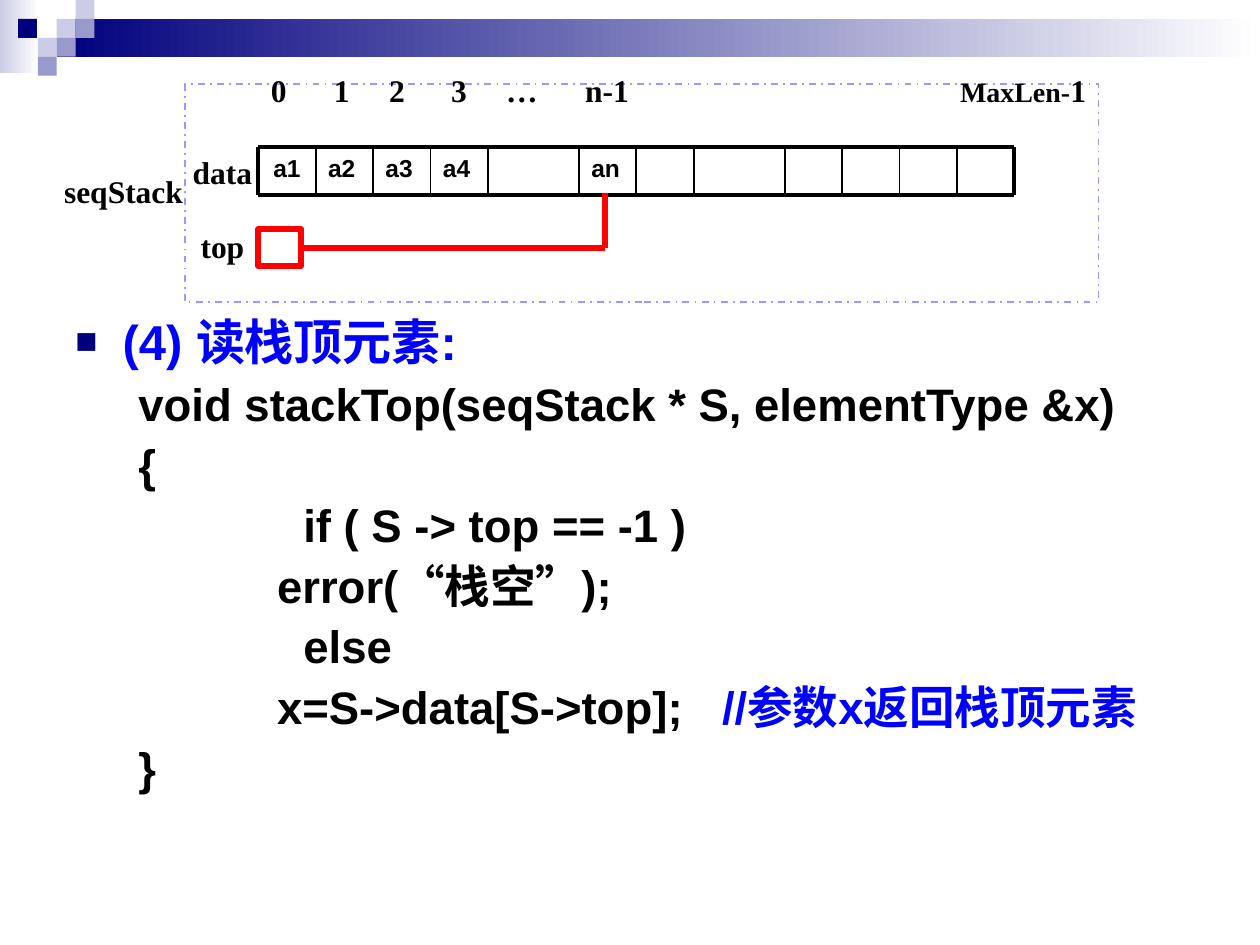
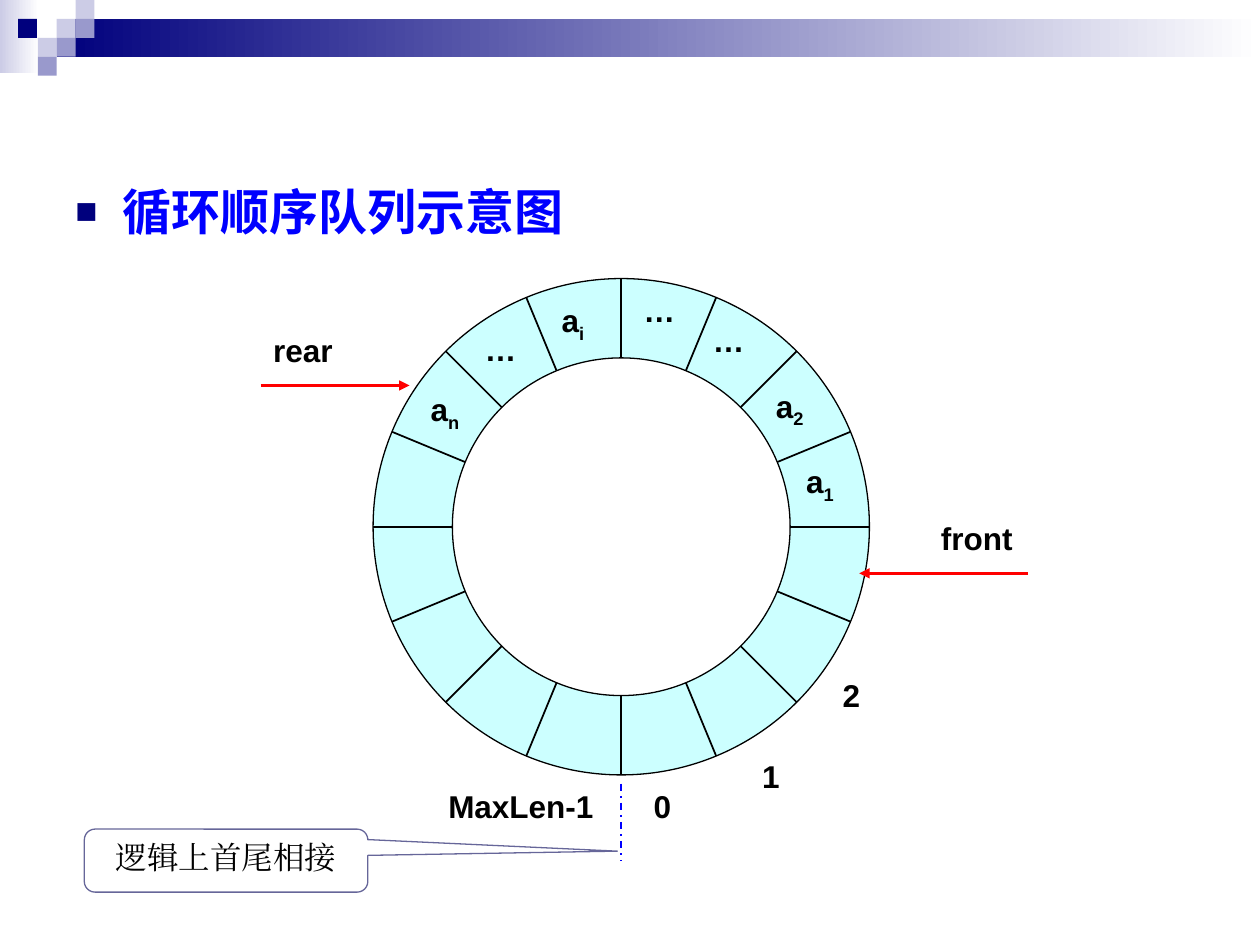
"""Build two slides on a sequential stack and a circular queue."""
from dataclasses import dataclass
from itertools import accumulate
from math import cos, pi, sin

from lxml.etree import SubElement
from pptx import Presentation
from pptx.dml.color import RGBColor
from pptx.enum.dml import MSO_LINE
from pptx.enum.shapes import MSO_CONNECTOR, MSO_SHAPE
from pptx.enum.text import MSO_ANCHOR, PP_ALIGN
from pptx.oxml.ns import qn
from pptx.util import Pt

NAVY = RGBColor(0x00, 0x00, 0x7D)
PALE = RGBColor(0xCC, 0xCC, 0xE6)
LILAC = RGBColor(0x99, 0x99, 0xCC)
WHITE = RGBColor(0xFF, 0xFF, 0xFF)
BLACK = RGBColor(0x00, 0x00, 0x00)
BLUE = RGBColor(0x00, 0x00, 0xFF)
RED = RGBColor(0xFF, 0x00, 0x00)
FRAME = RGBColor(0x99, 0x99, 0xFF)
AQUA = RGBColor(0xCC, 0xFF, 0xFF)
SLATE = RGBColor(0x66, 0x66, 0x99)

SANS = "Arial"
SERIF = "Times New Roman"
HAN = "Noto Sans CJK SC"
UNIT = 10.8


@dataclass
class Box:
    """A rectangle in points."""
    left: float
    top: float
    width: float
    height: float = 28.8


@dataclass
class Tile:
    """A filled block of the header, with an optional end colour."""
    box: Box
    color: RGBColor
    fade: RGBColor | None = None


@dataclass
class Run:
    """A piece of text with what differs from its box."""
    text: str
    color: RGBColor | None = None
    font: str | None = None
    size: float | None = None
    sub: bool = False


@dataclass
class Label:
    """A text at a place."""
    text: str
    left: float
    top: float
    width: float = 33.8
    sub: str = ""


@dataclass
class Line:
    """One line of code and its left margin."""
    runs: list
    left: float = 36


TILES = [
    Tile(Box(0, 0, 22.3, 41.8), PALE, WHITE),
    Tile(Box(3 * UNIT, UNIT, 687.6, 21.6), NAVY, WHITE),
    Tile(Box(10.3, UNIT, UNIT, UNIT), NAVY),
    *[Tile(Box(col * UNIT, row * UNIT, UNIT, UNIT), color)
      for col, row, color in [(3, 1, PALE), (4, 0, PALE), (4, 1, LILAC),
                              (2, 2, PALE), (3, 2, LILAC), (2, 3, LILAC)]],
]

CODE = [
    Line([Run("void stackTop(seqStack * S, elementType &x)")]),
    Line([Run("{")]),
    Line([Run("if ( S -> top == -1 )")], 130.3),
    Line([Run("           error("), Run("“", font=HAN), Run("栈空"),
          Run("”", font=HAN), Run(");")]),
    Line([Run("else")], 130.3),
    Line([Run("           x=S->data[S->top];   "),
          Run("//参数x返回栈顶元素", BLUE)]),
    Line([Run("}")]),
]

MARKS = [("0", 159.4), ("1", 195.4), ("2", 226.9), ("3", 262.3),
         ("…", 298.3), ("n-1", 346.9)]
NAMES = [Label("data", 100.1, 84.2, 54), Label("top", 100.1, 126, 54),
         Label("seqStack", 23.8, 95, 93.6)]
CELLS = {0: "a1", 1: "a2", 2: "a3", 3: "a4", 5: "an"}

RING = [
    Label("a", 453.6, 260.6, sub="1"), Label("a", 436.3, 217.4, sub="2"),
    Label("a", 313.9, 168.5, sub="i"), Label("a", 239, 219.6, sub="n"),
    Label("…", 360.7, 162.7), Label("…", 270, 185), Label("…", 400.3, 180),
    Label("front", 530.6, 293, 57), Label("rear", 149, 185.8, 57),
    Label("0", 366.5, 446.4, 28), Label("1", 428.4, 429.1, 28),
    Label("2", 474.5, 383, 28), Label("MaxLen-1", 241.2, 446.4, 113),
]


def fill(para, runs: list, size: float, font: str, color: RGBColor,
         bold: bool) -> None:
    """Add runs to a paragraph."""
    for part in runs:
        run = para.add_run()
        run.text = part.text
        face = part.font or font
        run.font.name = face
        run.font.size = Pt(part.size or size)
        run.font.bold = bold
        run.font.color.rgb = part.color or color
        prop = run._r.get_or_add_rPr()
        SubElement(prop, qn("a:ea")).set("typeface", face)
        if part.sub:
            prop.set("baseline", "-25000")


def text(slide, words: str | list, box: Box, size: float = 18,
         font: str = SANS, color: RGBColor = BLACK, bold: bool = True,
         align: PP_ALIGN = PP_ALIGN.LEFT):
    """Add a text box and return its frame."""
    shape = slide.shapes.add_textbox(Pt(box.left), Pt(box.top),
                                     Pt(box.width), Pt(box.height))
    frame = shape.text_frame
    frame.word_wrap = True
    para = frame.paragraphs[0]
    para.alignment = align
    runs = [Run(words)] if isinstance(words, str) else words
    fill(para, runs, size, font, color, bold)
    return frame


def shape(slide, kind: MSO_SHAPE, box: Box, color: RGBColor | None = None,
          edge: RGBColor | None = None, width: float = 1):
    """Add a preset shape."""
    item = slide.shapes.add_shape(kind, Pt(box.left), Pt(box.top),
                                  Pt(box.width), Pt(box.height))
    item.shadow.inherit = False
    if color is None:
        item.fill.background()
    else:
        item.fill.solid()
        item.fill.fore_color.rgb = color
    if edge is None:
        item.line.fill.background()
    else:
        item.line.color.rgb = edge
        item.line.width = Pt(width)
    return item


def line(slide, start: tuple, end: tuple, color: RGBColor = BLACK,
         width: float = 1, arrow: bool = False):
    """Add a straight line, with an arrowhead at its end if asked."""
    item = slide.shapes.add_connector(MSO_CONNECTOR.STRAIGHT,
                                      *[Pt(v) for v in (*start, *end)])
    item.line.color.rgb = color
    item.line.width = Pt(width)
    if arrow:
        tail = SubElement(item.line._get_or_add_ln(), qn("a:tailEnd"))
        tail.set("type", "triangle")
    SubElement(item._element.spPr, qn("a:effectLst"))
    return item


def inset(para, left: float, hang: float) -> None:
    """Set the margin and first-line indent of a paragraph."""
    prop = para._p.get_or_add_pPr()
    prop.set("marL", str(Pt(left)))
    prop.set("indent", str(Pt(hang)))


def head(slide, words: str, top: float):
    """Add the bulleted blue heading and return its frame."""
    frame = text(slide, words, Box(36, top, 648, 510 - top), 28, color=BLUE)
    para = frame.paragraphs[0]
    prop = para._p.get_or_add_pPr()
    tint = SubElement(prop, qn("a:buClr"))
    SubElement(tint, qn("a:srgbClr")).set("val", str(NAVY))
    SubElement(prop, qn("a:buSzPct")).set("val", "75000")
    SubElement(prop, qn("a:buFont")).set("typeface", SANS)
    SubElement(prop, qn("a:buChar")).set("char", "■")
    inset(para, 27, -27)
    para.line_spacing = Pt(29)
    return frame


def page(deck):
    """Add a blank slide with the header band."""
    slide = deck.slides.add_slide(deck.slide_layouts[6])
    for tile in TILES:
        item = shape(slide, MSO_SHAPE.RECTANGLE, tile.box, tile.color)
        if tile.fade is not None:
            item.fill.gradient()
            item.fill.gradient_angle = 0
            stops = item.fill.gradient_stops
            stops[0].color.rgb = tile.color
            stops[1].color.rgb = tile.fade
    return slide


def stack(deck) -> None:
    """Draw the stack and the code that reads its top."""
    slide = page(deck)
    frame = head(slide, "(4) 读栈顶元素:", 179)
    for row in CODE:
        para = frame.add_paragraph()
        inset(para, row.left, 0)
        para.space_before = Pt(7.6)
        para.line_spacing = Pt(27)
        fill(para, row.runs, 26, SANS, BLACK, True)

    frame = shape(slide, MSO_SHAPE.RECTANGLE, Box(105.8, 48.2, 522, 124.6),
                  WHITE, FRAME)
    frame.line.dash_style = MSO_LINE.DASH_DOT

    wide = [52 if i in (4, 7) else 32.8 for i in range(12)]
    edges = list(accumulate(wide, initial=147.6))
    high, low = 84.2, 111.6
    for i, word in CELLS.items():
        text(slide, word, Box(edges[i], high, 32.8), 14,
             align=PP_ALIGN.LEFT if i else PP_ALIGN.CENTER)
    for y in (high, low):
        line(slide, (edges[0], y), (edges[-1], y), width=2.25)
    for x in edges:
        line(slide, (x, high), (x, low),
             width=2.25 if x in (edges[0], edges[-1]) else 1)

    for word, mid in MARKS:
        text(slide, word, Box(mid - 25, 37, 50), font=SERIF,
             align=PP_ALIGN.CENTER)
    text(slide, [Run("MaxLen-", size=16), Run("1")],
         Box(529.6, 37, 110), font=SERIF, align=PP_ALIGN.CENTER)
    for name in NAMES:
        text(slide, name.text, Box(name.left, name.top, name.width),
             font=SERIF, align=PP_ALIGN.CENTER)

    top = shape(slide, MSO_SHAPE.RECTANGLE, Box(147.6, 131, 24.5, 21),
                WHITE, RED, 3.5)
    turn = (345.6, 141.5)
    link = line(slide, (172.1, 141.5), turn, RED, 3.5)
    link.begin_connect(top, 3)
    line(slide, (345.6, 110.2), turn, RED, 3.5)


def queue(deck) -> None:
    """Draw the circular queue."""
    slide = page(deck)
    head(slide, "循环顺序队列示意图", 104.5)
    mid, level, outer, inner = 355, 301, 141.8, 96.5
    ring = shape(slide, MSO_SHAPE.DONUT,
                 Box(mid - outer, level - outer, 2 * outer, 2 * outer),
                 AQUA, BLACK, 0.75)
    ring.adjustments[0] = (outer - inner) / (2 * outer)
    for i in range(16):
        x, y = cos(i * pi / 8), sin(i * pi / 8)
        line(slide, (mid + inner * x, level + inner * y),
             (mid + outer * x, level + outer * y))

    for item in RING:
        runs = [Run(item.text)]
        if item.sub:
            runs.append(Run(item.sub, sub=True))
        text(slide, runs, Box(item.left, item.top, item.width),
             align=PP_ALIGN.CENTER if item.width > 100 else PP_ALIGN.LEFT)
    line(slide, (587.5, 327.6), (491, 327.6), RED, 1.5, True)
    line(slide, (149, 220.3), (234, 220.3), RED, 1.5, True)
    seam = line(slide, (mid, 447.8), (mid, 491.8), BLUE)
    seam.line.dash_style = MSO_LINE.DASH_DOT

    note = shape(slide, MSO_SHAPE.ROUNDED_RECTANGULAR_CALLOUT,
                 Box(48.2, 473.8, 162, 36), edge=SLATE, width=0.75)
    for i, value in enumerate((1.38, -0.15, 0.17)):
        note.adjustments[i] = value
    frame = note.text_frame
    frame.vertical_anchor = MSO_ANCHOR.TOP
    para = frame.paragraphs[0]
    para.alignment = PP_ALIGN.CENTER
    fill(para, [Run("逻辑上首尾相接")], 18, SERIF, BLACK, False)


def main() -> None:
    """Build and save the deck."""
    deck = Presentation()
    deck.slide_width, deck.slide_height = Pt(720), Pt(540)
    stack(deck)
    queue(deck)
    deck.save("out.pptx")


if __name__ == "__main__":
    main()
